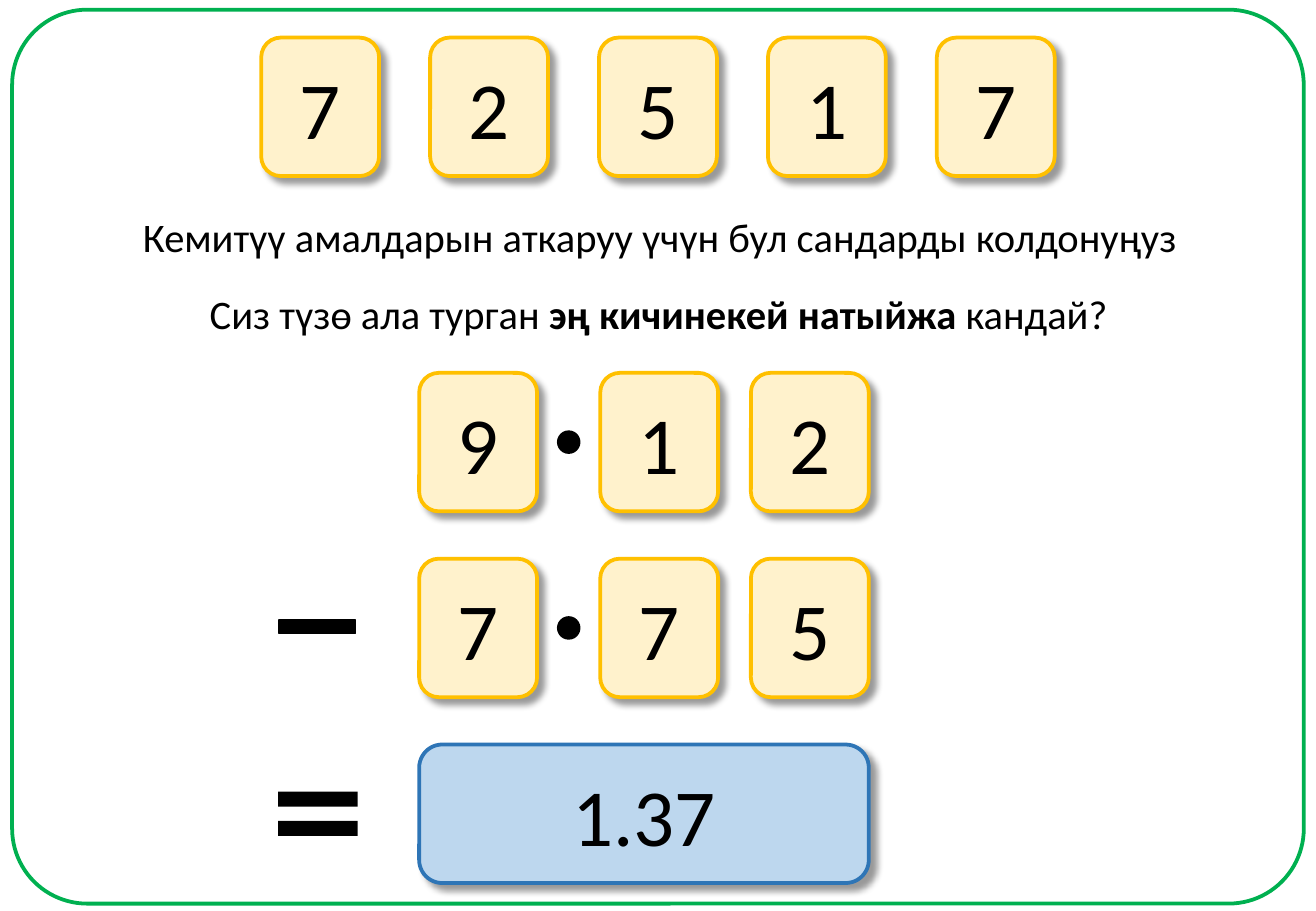
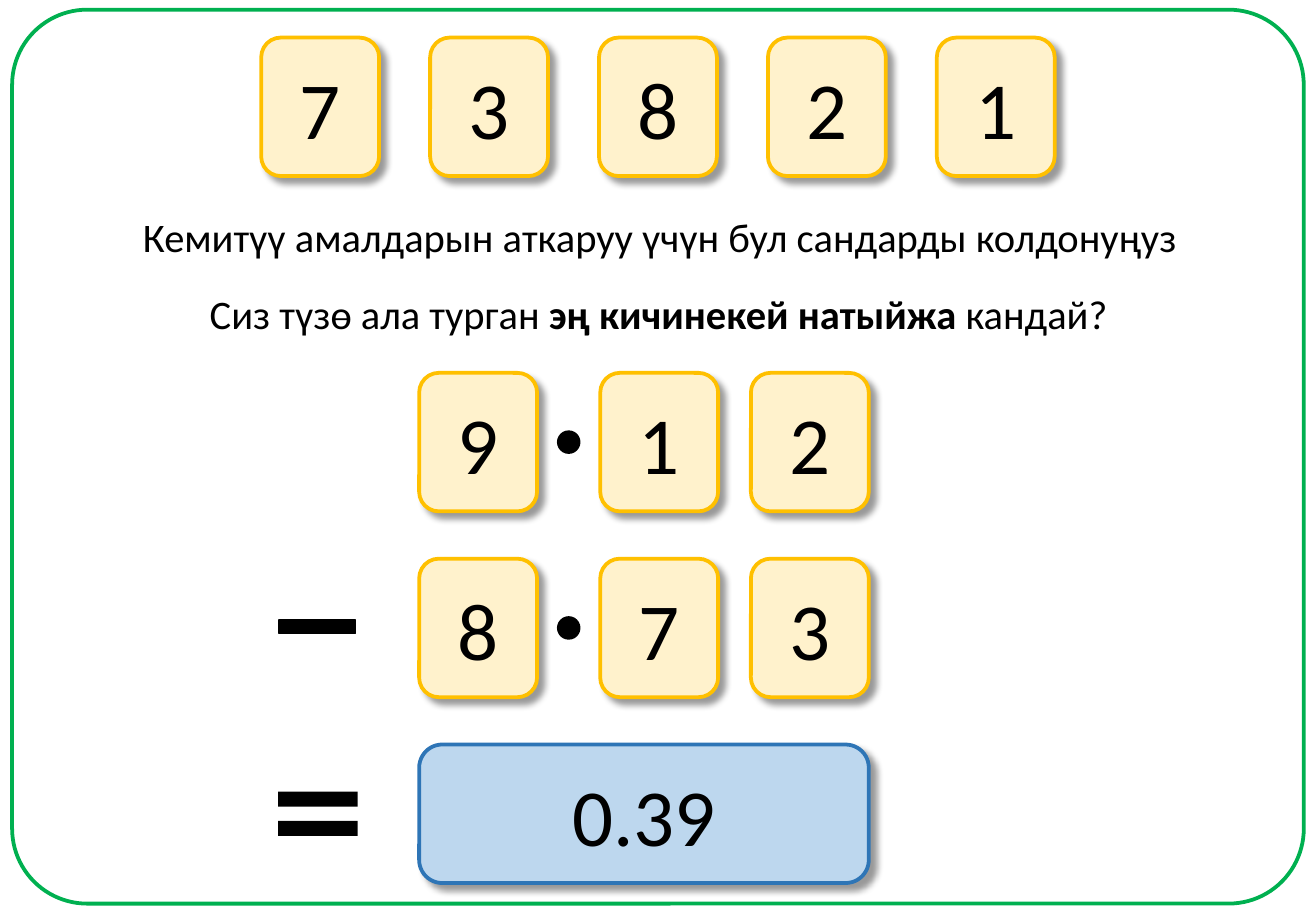
from dataclasses import dataclass

from lxml.etree import SubElement
from pptx import Presentation
from pptx.dml.color import RGBColor
from pptx.enum.shapes import MSO_SHAPE
from pptx.enum.text import MSO_ANCHOR, MSO_AUTO_SIZE, PP_ALIGN
from pptx.oxml.ns import qn
from pptx.util import Inches, Pt


@dataclass(frozen=True)
class Theme:
    font: str = "Calibri"
    ink: str = "000000"
    frame: str = "00B050"
    tile: str = "FFF2CC"
    tile_line: str = "FFC000"
    result: str = "BDD7EE"
    result_line: str = "2E75B6"
    text_size: int = 24
    digit_size: int = 48
    outline: float = 2.25


T = Theme()

SLIDE_W, SLIDE_H = 10.83, 7.5
TILE_W, TILE_H = 0.97, 1.14
DRAW_TOP, DRAW_STEP = 0.31, 1.39
ROW_TOP, ROW_STEP = 3.07, 1.53
COLUMNS = (3.45, 4.94, 6.18)
DOT = 0.18

PROMPTS = [
    (1.03, 1.7, 8.8, [("Кемитүү амалдарын аткаруу үчүн бул сандарды колдонуңуз", False)]),
    (1.59, 2.33, 7.66, [("Сиз түзө ала турган ", False),
                        ("эң кичинекей натыйжа ", True),
                        ("кандай?", False)]),
]

# Drawn digits, the two numbers of the subtraction, result
TASKS = [
    ("72517", ("912", "775"), "1.37"),
    ("73821", ("912", "873"), "0.39"),
]


def add_shape(s, kind, box, fill=None, line=None, width=T.outline, adj=()):
    sp = s.shapes.add_shape(kind, *map(Inches, box))
    sp.shadow.inherit = False
    if fill:
        sp.fill.solid()
        sp.fill.fore_color.rgb = RGBColor.from_string(fill)
    else:
        sp.fill.background()
    if line:
        sp.line.color.rgb = RGBColor.from_string(line)
        sp.line.width = Pt(width)
    else:
        sp.line.fill.background()
    for i, value in enumerate(adj):
        sp.adjustments[i] = value
    return sp


def add_card(s, text, left, top, width=TILE_W, fill=T.tile, line=T.tile_line):
    sp = add_shape(s, MSO_SHAPE.ROUNDED_RECTANGLE, (left, top, width, TILE_H), fill, line)
    effects = sp._element.spPr.find(qn("a:effectLst"))
    shadow = SubElement(effects, qn("a:outerShdw"), blurRad=str(Pt(4)), dist=str(Pt(5)),
                        dir="2700000", algn="tl", rotWithShape="0")
    color = SubElement(shadow, qn("a:srgbClr"), val=T.ink)
    SubElement(color, qn("a:alpha"), val="40000")
    tf = sp.text_frame
    tf.vertical_anchor = MSO_ANCHOR.MIDDLE
    p = tf.paragraphs[0]
    p.text = text
    p.alignment = PP_ALIGN.CENTER
    p.font.name = T.font
    p.font.size = Pt(T.digit_size)
    p.font.color.rgb = RGBColor.from_string(T.ink)


prs = Presentation()
prs.slide_width, prs.slide_height = Inches(SLIDE_W), Inches(SLIDE_H)

for drawn, numbers, result in TASKS:
    s = prs.slides.add_slide(prs.slide_layouts[6])

    # Frame
    add_shape(s, MSO_SHAPE.ROUNDED_RECTANGLE, (0.1, 0.08, 10.63, 7.36),
              line=T.frame, adj=[0.084])

    # Drawn digits, centred on the slide
    draw_left = (SLIDE_W - (len(drawn) - 1) * DRAW_STEP - TILE_W) / 2
    for i, digit in enumerate(drawn):
        add_card(s, digit, draw_left + i * DRAW_STEP, DRAW_TOP)

    # Prompts
    for left, top, width, runs in PROMPTS:
        tf = s.shapes.add_textbox(*map(Inches, (left, top, width, 0.5))).text_frame
        tf.word_wrap = False
        tf.auto_size = MSO_AUTO_SIZE.SHAPE_TO_FIT_TEXT
        p = tf.paragraphs[0]
        p.alignment = PP_ALIGN.CENTER
        p.font.name = T.font
        p.font.size = Pt(T.text_size)
        p.font.color.rgb = RGBColor.from_string(T.ink)
        for text, bold in runs:
            r = p.add_run()
            r.text = text
            r.font.bold = bold

    # Subtraction rows
    for row, number in enumerate(numbers):
        top = ROW_TOP + row * ROW_STEP
        for left, digit in zip(COLUMNS, number):
            add_card(s, digit, left, top)
        add_shape(s, MSO_SHAPE.OVAL, (4.59, top + (TILE_H - DOT) / 2, DOT, DOT),
                  T.ink, T.ink, 1)

    # Signs and result
    add_shape(s, MSO_SHAPE.MATH_MINUS, (2.18, 4.73, 0.86, 0.86), T.ink, T.ink, 1, [0.132])
    add_shape(s, MSO_SHAPE.MATH_EQUAL, (2.17, 6.2, 0.89, 1), T.ink, adj=[0.123, 0.118])
    add_card(s, result, COLUMNS[0], ROW_TOP + 2 * ROW_STEP,
             COLUMNS[-1] + TILE_W - COLUMNS[0], T.result, T.result_line)

prs.save("out.pptx")
